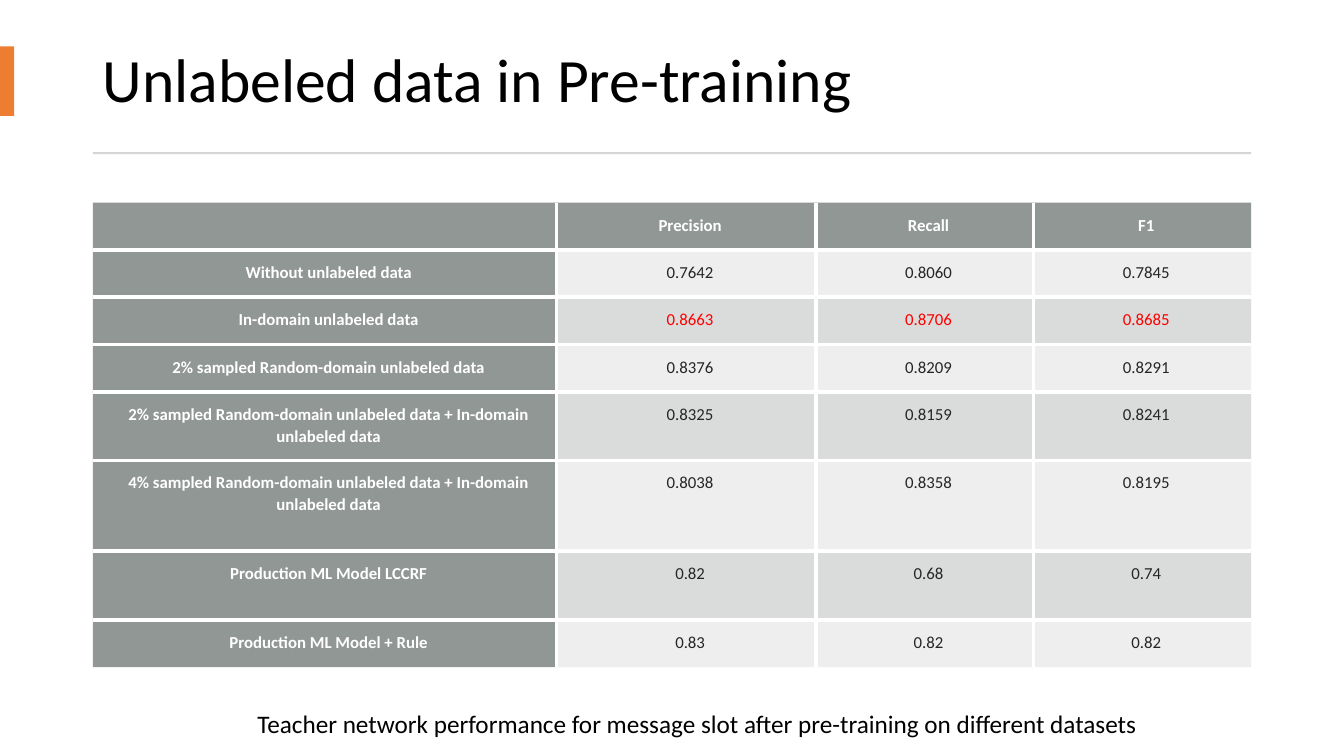
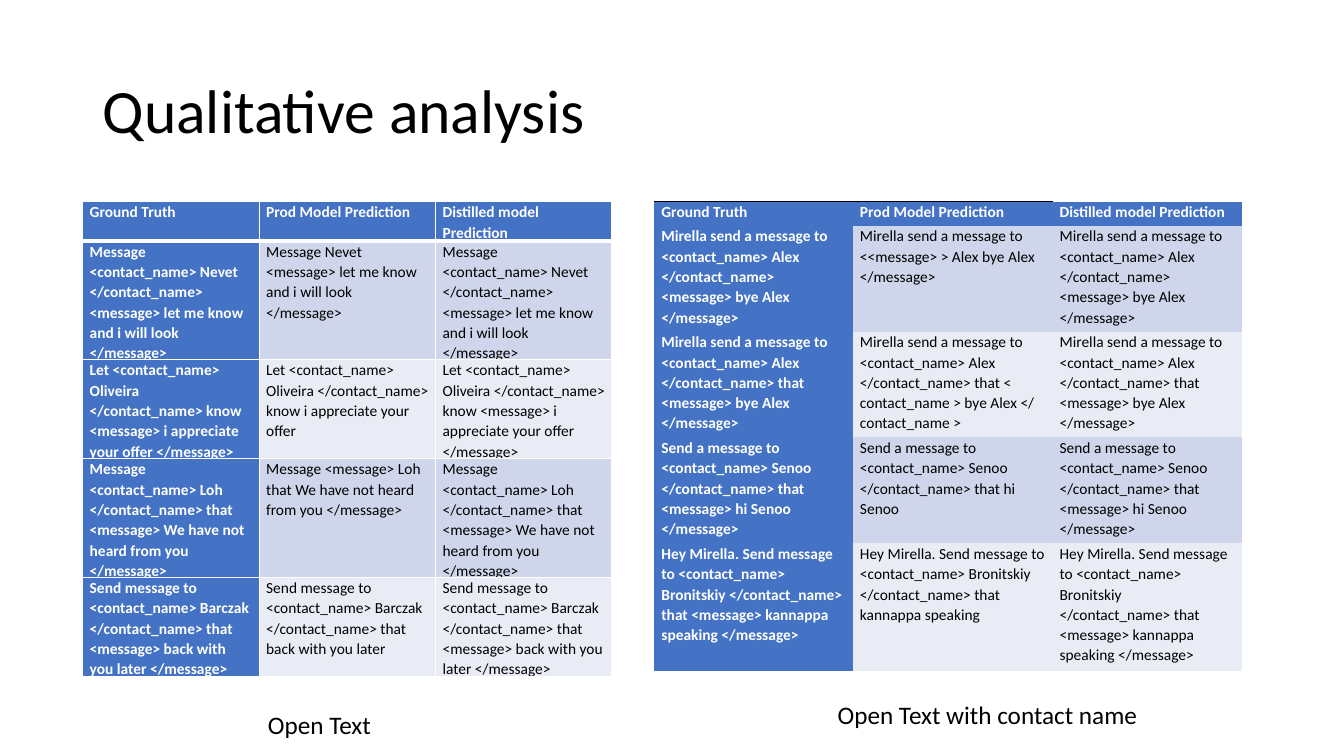
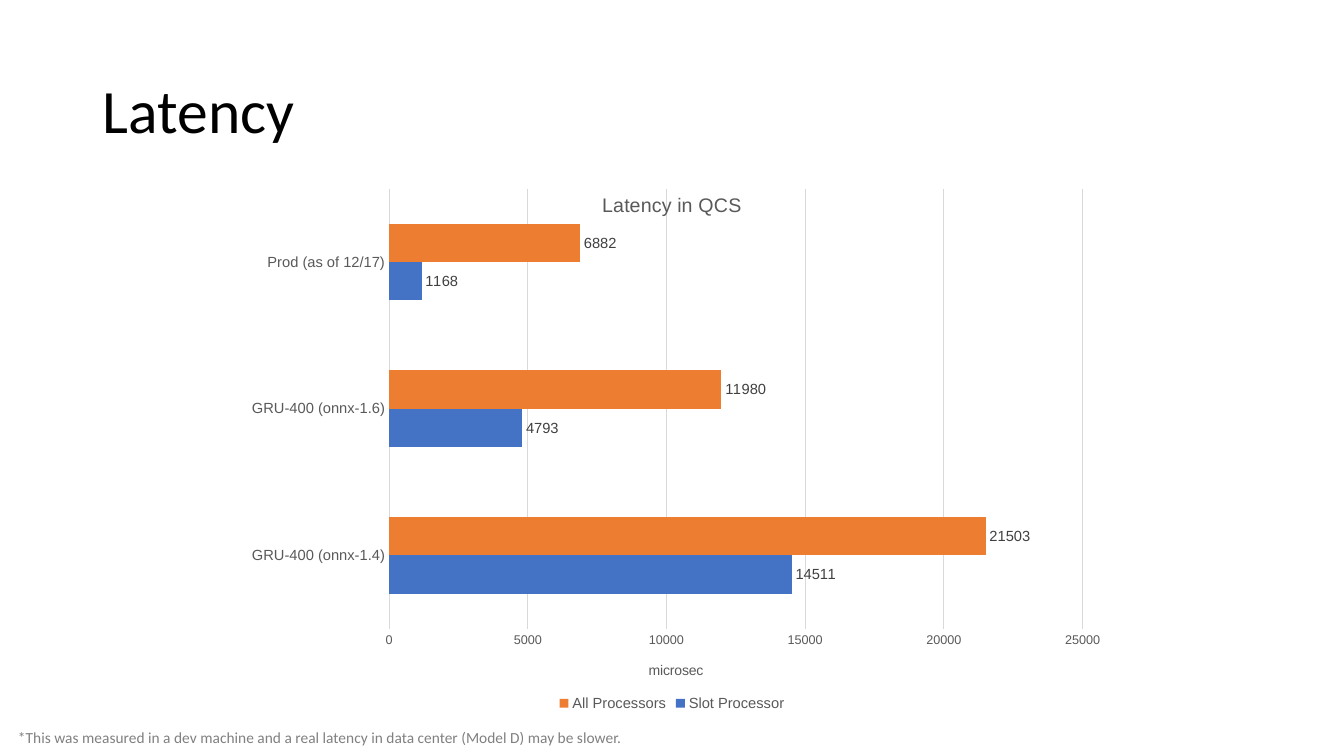
from dataclasses import dataclass
from itertools import product

from lxml import etree
from pptx import Presentation
from pptx.chart.data import CategoryChartData
from pptx.dml.color import RGBColor
from pptx.enum import chart as ch, shapes, text
from pptx.oxml import ns
from pptx.util import Inches, Pt


@dataclass(frozen=True)
class Theme:
    font: str = "Calibri"
    chart_font: str = "Arial"
    black: str = "000000"
    white: str = "FFFFFF"
    blue: str = "4472C4"
    orange: str = "ED7D31"
    rule: str = "D5D5D5"
    grid: str = "D9D9D9"
    axis: str = "595959"
    label: str = "404040"
    body: str = "262626"
    best: str = "FF0000"
    note: str = "808080"
    title_size: float = 44
    caption_size: float = 18
    note_size: float = 11
    chart_title_size: float = 14
    chart_size: float = 10.5
    axis_title_size: float = 10
    tick_size: float = 9


@dataclass(frozen=True)
class TableLook:
    """Fills are (colour, opacity in percent); bands alternate by body row."""
    size: float
    head: tuple
    bands: tuple
    ink: str
    align: text.PP_ALIGN
    insets: tuple
    borders: object
    best_row: int = -1


THEME = Theme()
TITLE_BOX = (0.92, 0.4, 11.5, 1.45)
PLAIN_TABLE = "{2D5ABB26-0587-4C30-8999-92F81FD0307C}"
SIDES = ("L", "R", "T", "B")

SCORES = [
    ("", "Precision", "Recall", "F1"),
    ("Without unlabeled data", "0.7642", "0.8060", "0.7845"),
    ("In-domain unlabeled data", "0.8663", "0.8706", "0.8685"),
    ("2% sampled Random-domain unlabeled data", "0.8376", "0.8209", "0.8291"),
    ("2% sampled Random-domain unlabeled data + In-domain unlabeled data",
     "0.8325", "0.8159", "0.8241"),
    ("4% sampled Random-domain unlabeled data + In-domain unlabeled data",
     "0.8038", "0.8358", "0.8195"),
    ("Production ML Model LCCRF", "0.82", "0.68", "0.74"),
    ("Production ML Model + Rule", "0.83", "0.82", "0.82"),
]

# Pairs of ground truth and production prediction
OPEN_TEXT = [
    ("Message <contact_name> Nevet </contact_name> <message> let me know and i will look </message>",
     "Message Nevet <message> let me know and i will look </message>"),
    ("Let <contact_name> Oliveira </contact_name> know <message> i appreciate your offer </message>",
     "Let <contact_name> Oliveira </contact_name> know i appreciate your offer"),
    ("Message <contact_name> Loh </contact_name> that <message> We have not heard from you </message>",
     "Message <message> Loh that We have not heard from you </message>"),
    ("Send message to <contact_name> Barczak </contact_name> that <message> back with you later </message>",
     "Send message to <contact_name> Barczak </contact_name> that back with you later"),
]
WITH_CONTACT = [
    ("Mirella send a message to <contact_name> Alex </contact_name> <message> bye Alex </message>",
     "Mirella send a message to <<message> > Alex bye Alex </message>"),
    ("Mirella send a message to <contact_name> Alex </contact_name> that <message> bye Alex </message>",
     "Mirella send a message to <contact_name> Alex </contact_name> that < contact_name > bye Alex </ contact_name >"),
    ("Send a message to <contact_name> Senoo </contact_name> that <message> hi Senoo </message>",
     "Send a message to <contact_name> Senoo </contact_name> that hi Senoo"),
    ("Hey Mirella. Send message to <contact_name> Bronitskiy </contact_name> that <message> kannappa speaking </message>",
     "Hey Mirella. Send message to <contact_name> Bronitskiy </contact_name> that kannappa speaking"),
]


def inches(box):
    return [Inches(length) for length in box]


def style_font(font, size, color, name=THEME.font, bold=False):
    for key, value in dict(name=name, size=Pt(size), bold=bold).items():
        setattr(font, key, value)
    font.color.rgb = RGBColor.from_string(color)


def add_text(slide, box, words, size, color=THEME.black, wrap=True, **paragraph_format):
    frame = slide.shapes.add_textbox(*inches(box)).text_frame
    frame.word_wrap = wrap
    paragraph = frame.paragraphs[0]
    for key, value in paragraph_format.items():
        setattr(paragraph, key, value)
    run = paragraph.add_run()
    run.text = words
    style_font(run.font, size, color)
    return frame


def add_title(slide, words, box=TITLE_BOX):
    frame = add_text(slide, box, words, THEME.title_size, line_spacing=0.9)
    frame.vertical_anchor = text.MSO_ANCHOR.MIDDLE


def add_caption(slide, box, words, **options):
    frame = add_text(slide, box, words, THEME.caption_size, **options)
    frame.auto_size = text.MSO_AUTO_SIZE.SHAPE_TO_FIT_TEXT


def add_bar(slide, box, color):
    bar = slide.shapes.add_shape(shapes.MSO_SHAPE.RECTANGLE, *inches(box))
    bar.shadow.inherit = False
    bar.fill.solid()
    bar.fill.fore_color.rgb = RGBColor.from_string(color)
    bar.line.fill.background()


def fill_cell(cell, color, opacity):
    cell.fill.solid()
    cell.fill.fore_color.rgb = RGBColor.from_string(color)
    if opacity < 100:
        tone = cell._tc.tcPr.find(".//" + ns.qn("a:srgbClr"))
        etree.SubElement(tone, ns.qn("a:alpha"), val=str(opacity * 1000))


def border_cell(cell, borders):
    """Draw the sides named in borders, given as (colour, points)."""
    properties = cell._tc.get_or_add_tcPr()
    drawn = [side for side in SIDES if side in borders]
    for place, side in enumerate(drawn):
        color, width = borders[side]
        line = etree.Element(ns.qn("a:ln" + side), w=str(Pt(width)))
        solid = etree.SubElement(line, ns.qn("a:solidFill"))
        etree.SubElement(solid, ns.qn("a:srgbClr"), val=color)
        properties.insert(place, line)


def write_cell(cell, words, look, color, bold):
    for side, inset in zip(("left", "top", "right", "bottom"), look.insets):
        setattr(cell, "margin_" + side, Inches(inset))
    paragraph = cell.text_frame.paragraphs[0]
    paragraph.alignment = look.align
    paragraph.line_spacing = 1.07
    run = paragraph.add_run()
    run.text = words
    style_font(run.font, look.size, color, bold=bold)


def add_grid(slide, left, top, widths, heights, rows, look):
    """Table with a heading row and a heading column."""
    box = (left, top, sum(widths), sum(heights))
    table = slide.shapes.add_table(len(rows), len(widths), *inches(box)).table
    table._tbl.tblPr.find(ns.qn("a:tableStyleId")).text = PLAIN_TABLE
    for column, width in zip(table.columns, widths):
        column.width = Inches(width)
    for row, height in zip(table.rows, heights):
        row.height = Inches(height)
    for r, c in product(range(len(rows)), range(len(widths))):
        cell = table.cell(r, c)
        heading = r == 0 or c == 0
        fill_cell(cell, *(look.head if heading else look.bands[(r - 1) % 2]))
        border_cell(cell, look.borders(r, c))
        ink = THEME.best if r == look.best_row else look.ink
        if rows[r][c]:
            write_cell(cell, rows[r][c], look, THEME.white if heading else ink, heading)


def inner_borders(r, c):
    edges = dict(L=c > 0, R=c < len(SCORES[0]) - 1, T=r > 0, B=r < len(SCORES) - 1)
    return {side: (THEME.white, 3) for side, inside in edges.items() if inside}


def white_borders(r, c):
    thick = {0: "B", 1: "T"}.get(r)
    return {side: (THEME.white, 3 if side == thick else 1) for side in SIDES}


def black_top(r, c):
    return {"T": (THEME.black, 1)} if r == 0 and c < 2 else {}


def score_look():
    return TableLook(12, ("636B68", 70), (("878E8B", 15), ("878E8B", 30)), THEME.body,
                     text.PP_ALIGN.CENTER, (0.19, 0.11, 0.11, 0.11), inner_borders, best_row=2)


def prediction_look(borders):
    return TableLook(11, (THEME.blue, 100), (("CFD5EA", 100), ("E9EBF5", 100)), THEME.black,
                     text.PP_ALIGN.LEFT, (0.07, 0, 0.07, 0), borders)


def prediction_rows(pairs):
    """The distilled model reproduces the ground truth in every example."""
    heads = ("Ground Truth", "Prod Model Prediction", "Distilled model Prediction")
    return [heads] + [(truth, prod, truth) for truth, prod in pairs]


def title_chart_part(part, words, size):
    part.has_title = True
    title = part.chart_title if hasattr(part, "chart_title") else part.axis_title
    title.text_frame.text = words
    style_font(title.text_frame.paragraphs[0].runs[0].font, size, THEME.axis, THEME.chart_font)


def place_plot(chart, x, y, w, h):
    """Fix the inner plot area, in fractions of the chart."""
    area = chart._chartSpace.find(".//" + ns.qn("c:plotArea"))
    for old in area.findall(ns.qn("c:layout")):
        area.remove(old)
    layout = etree.Element(ns.qn("c:layout"))
    manual = etree.SubElement(layout, ns.qn("c:manualLayout"))
    settings = dict(layoutTarget="inner", xMode="edge", yMode="edge", x=x, y=y, w=w, h=h)
    for key, value in settings.items():
        etree.SubElement(manual, ns.qn("c:" + key), val=str(value))
    area.insert(0, layout)


def style_axes(chart):
    sizes = ((chart.category_axis, THEME.chart_size), (chart.value_axis, THEME.tick_size))
    for axis, size in sizes:
        axis.major_tick_mark = axis.minor_tick_mark = ch.XL_TICK_MARK.NONE
        style_font(axis.tick_labels.font, size, THEME.axis, THEME.chart_font)
    values = chart.value_axis
    for key, value in dict(minimum_scale=0, maximum_scale=25000, major_unit=5000).items():
        setattr(values, key, value)
    values.format.line.fill.background()
    title_chart_part(values, "microsec", THEME.axis_title_size)
    for line in (chart.category_axis.format.line, values.major_gridlines.format.line):
        line.color.rgb = RGBColor.from_string(THEME.grid)
        line.width = Pt(0.75)


def style_bars(plot, colors):
    plot.gap_width = 182
    plot.overlap = 0
    plot.vary_by_categories = False
    for series, color in zip(plot.series, colors):
        series.format.fill.solid()
        series.format.fill.fore_color.rgb = RGBColor.from_string(color)
        labels = series.data_labels
        labels.show_value = True
        labels.position = ch.XL_LABEL_POSITION.OUTSIDE_END
        style_font(labels.font, THEME.chart_size, THEME.label, THEME.chart_font)


def add_latency_chart(slide, box):
    data = CategoryChartData()
    data.categories = ["GRU-400 (onnx-1.4)", "GRU-400 (onnx-1.6)", "Prod (as of 12/17)"]
    data.add_series("Slot Processor", (14511, 4793, 1168))
    data.add_series("All Processors", (21503, 11980, 6882))
    chart = slide.shapes.add_chart(ch.XL_CHART_TYPE.BAR_CLUSTERED, *inches(box), data).chart
    style_font(chart.font, THEME.axis_title_size, THEME.black, THEME.chart_font)
    title_chart_part(chart, "Latency in QCS", THEME.chart_title_size)
    chart.has_legend = True
    chart.legend.position = ch.XL_LEGEND_POSITION.BOTTOM
    chart.legend.include_in_layout = False
    style_font(chart.legend.font, THEME.chart_size, THEME.axis, THEME.chart_font)
    style_axes(chart)
    style_bars(chart.plots[0], (THEME.blue, THEME.orange))
    place_plot(chart, 0.19, 0.03, 0.76, 0.81)


def pretraining_slide(slide):
    add_title(slide, "Unlabeled data in Pre-training", (0.92, 0.27, 11.49, 1.1))
    add_bar(slide, (0, 0.46, 0.14, 0.69), THEME.orange)
    add_bar(slide, (0.92, 1.51, 11.49, 0.02), THEME.rule)
    add_caption(slide, (2.35, 6.98, 9.13, 0.79),
                "Teacher network performance for message slot after pre-training on different datasets",
                wrap=False, alignment=text.PP_ALIGN.CENTER, space_after=Pt(6))
    heights = [0.47] * 4 + [0.68, 0.9, 0.68, 0.47]
    add_grid(slide, 0.92, 2.01, [4.6, 2.57, 2.16, 2.16], heights, SCORES, score_look())


def qualitative_slide(slide):
    add_title(slide, "Qualitative analysis")
    add_grid(slide, 0.82, 2, [1.75] * 3, [0.18, 0.75] + [0.94] * 3,
             prediction_rows(OPEN_TEXT), prediction_look(white_borders))
    add_grid(slide, 6.49, 2, [1.97, 1.98, 1.88], [0.24] + [1.05] * 3 + [1.27],
             prediction_rows(WITH_CONTACT), prediction_look(black_top))
    add_caption(slide, (2.56, 6.99, 1.8, 0.4), "Open Text")
    add_caption(slide, (8.21, 6.89, 3.54, 0.4), "Open Text with contact name")


def latency_slide(slide):
    add_title(slide, "Latency")
    add_latency_chart(slide, (2.14, 1.71, 9.05, 5.39))
    add_text(slide, (0.08, 7.17, 6.45, 0.29),
             "*This was measured in a dev machine and a real latency in data center (Model D) may be slower.",
             THEME.note_size, THEME.note, wrap=False)


def main():
    deck = Presentation()
    deck.slide_width, deck.slide_height = Inches(13.33), Inches(7.5)
    for build in (pretraining_slide, qualitative_slide, latency_slide):
        build(deck.slides.add_slide(deck.slide_layouts[6]))
    deck.save("out.pptx")


if __name__ == "__main__":
    main()
